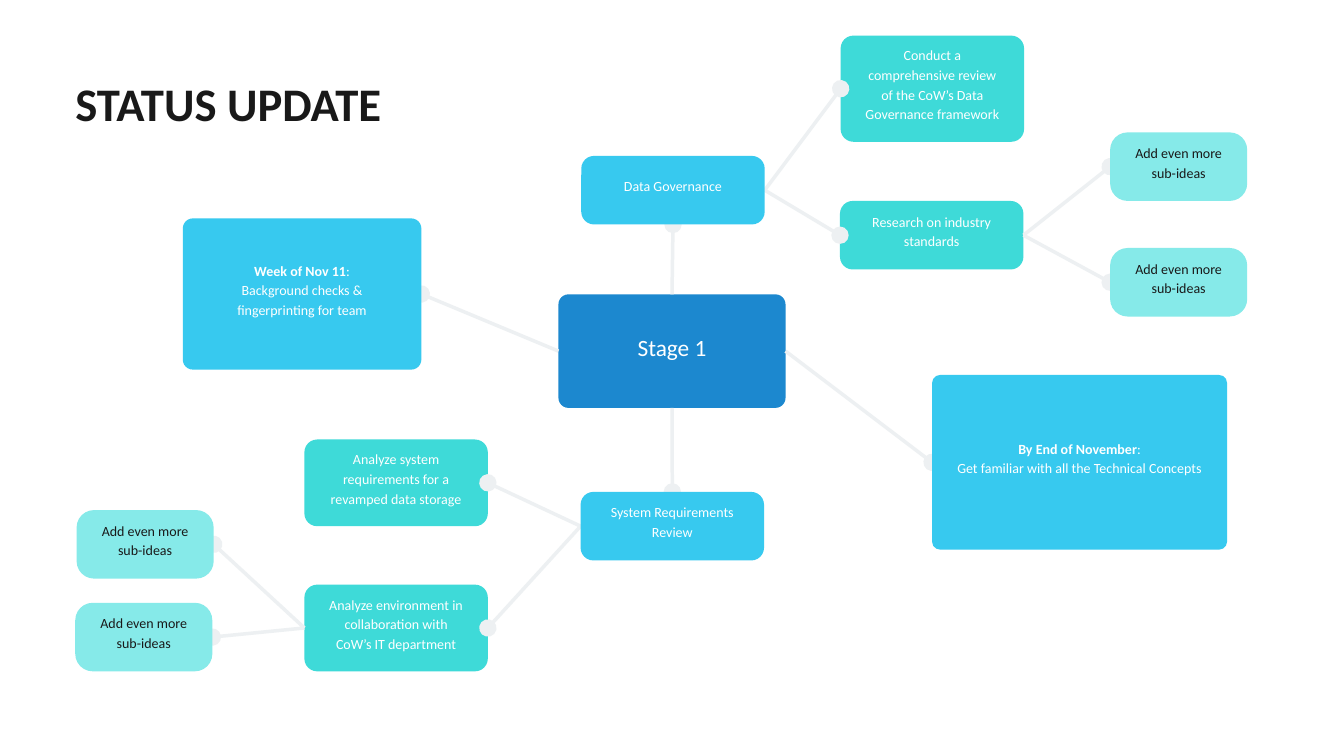
"""Build the status update mind map slide."""
from lxml import etree
from pptx import Presentation, util as u
from pptx.dml.color import RGBColor
from pptx.enum import shapes, text
from pptx.oxml import ns

PX = 9144
THEME = {
    "font": "Calibri", "ink": "191919", "white": "FFFFFF", "link": "EDF0F2", "link_width": 3.75,
    "stage": "1C88CF", "topic": "37C9EF", "task": "3EDAD8", "idea": "86EAE9",
    "title_size": 50, "stage_size": 25, "body_size": 15,
    "title_leading": 60, "stage_leading": 35, "body_leading": 21,
}
SITES = {"top": 0, "left": 1, "bottom": 2, "right": 3}
SUB_IDEA = "Add even more sub-ideas"
BOXES = {
    "stage": ("stage", 831, 438, 338, 169, 15, ["Stage 1"]),
    "week": ("topic", 272, 325, 355, 225, 15,
             ["Week of Nov 11:", "Background checks & fingerprinting for team"]),
    "governance": ("topic", 865, 232, 273, 102, 19, ["Data Governance"]),
    "requirements": ("topic", 864, 732, 273, 102, 19, ["System Requirements Review"]),
    "november": ("topic", 1387, 558, 439, 260, 12,
                 ["By End of November:", "Get familiar with all the Technical Concepts"]),
    "research": ("task", 1250, 299, 273, 102, 19, ["Research on industry standards"]),
    "review": ("task", 1251, 53, 273, 158, 19,
               ["Conduct a comprehensive review of the CoW’s Data Governance framework"]),
    "environment": ("task", 453, 870, 273, 129, 19,
                    ["Analyze environment in collaboration with CoW’s IT department"]),
    "storage": ("task", 453, 654, 273, 129, 19,
                ["Analyze system requirements for a revamped data storage"]),
    "right_lower": ("idea", 1652, 369, 204, 102, 26, [SUB_IDEA]),
    "right_upper": ("idea", 1652, 197, 204, 102, 26, [SUB_IDEA]),
    "left_lower": ("idea", 112, 897, 204, 102, 26, [SUB_IDEA]),
    "left_upper": ("idea", 114, 759, 204, 102, 26, [SUB_IDEA]),
}
LINKS = [
    ("stage", "right", "november", "left"),
    ("stage", "top", "governance", "bottom"),
    ("stage", "bottom", "requirements", "top"),
    ("stage", "left", "week", "right"),
    ("governance", "right", "research", "left"),
    ("governance", "right", "review", "left"),
    ("research", "right", "right_lower", "left"),
    ("research", "right", "right_upper", "left"),
    ("requirements", "left", "environment", "right"),
    ("requirements", "left", "storage", "right"),
    ("environment", "left", "left_lower", "right"),
    ("environment", "left", "left_upper", "right"),
]


def style_paragraph(paragraph, size, leading, color):
    paragraph.line_spacing = u.Pt(leading)
    paragraph.font.name = THEME["font"]
    paragraph.font.size = u.Pt(size)
    paragraph.font.color.rgb = RGBColor.from_string(color)


presentation = Presentation()
presentation.slide_width = 2000 * PX
presentation.slide_height = 1125 * PX
slide = presentation.slides.add_slide(presentation.slide_layouts[6])

nodes = {}
for name, (level, left, top, width, height, radius, lines) in BOXES.items():
    shape = slide.shapes.add_shape(
        shapes.MSO_SHAPE.ROUNDED_RECTANGLE, left * PX, top * PX, width * PX, height * PX)
    shape.adjustments[0] = radius / min(width, height)
    shape.shadow.inherit = False
    shape.fill.solid()
    shape.fill.fore_color.rgb = RGBColor.from_string(THEME[level])
    shape.line.fill.background()
    frame = shape.text_frame
    frame.word_wrap = True
    frame.vertical_anchor = text.MSO_ANCHOR.MIDDLE
    frame.margin_left = frame.margin_right = frame.margin_bottom = 28 * PX
    frame.margin_top = (8 if level == "stage" else 12) * PX
    kind = "stage" if level == "stage" else "body"
    color = THEME["ink" if level == "idea" else "white"]
    for index, line in enumerate(lines):
        paragraph = frame.add_paragraph() if index else frame.paragraphs[0]
        paragraph.alignment = text.PP_ALIGN.CENTER
        style_paragraph(paragraph, THEME[f"{kind}_size"], THEME[f"{kind}_leading"], color)
        label, colon, rest = line.partition(":")
        run = paragraph.add_run()
        run.text = label
        if colon:
            run.font.bold = True
            paragraph.add_run().text = colon + rest
    nodes[name] = shape

for start, start_side, end, end_side in LINKS:
    connector = slide.shapes.add_connector(shapes.MSO_CONNECTOR.STRAIGHT, 0, 0, 0, 0)
    connector.begin_connect(nodes[start], SITES[start_side])
    connector.end_connect(nodes[end], SITES[end_side])
    connector.line.width = u.Pt(THEME["link_width"])
    connector.line.color.rgb = RGBColor.from_string(THEME["link"])
    etree.SubElement(connector.line._get_or_add_ln(), ns.qn("a:tailEnd"),
                     type="oval", w="lg", len="lg")
    etree.SubElement(connector.element.spPr, ns.qn("a:effectLst"))

for name, shape in nodes.items():
    if BOXES[name][0] in ("topic", "idea"):
        shape.element.getparent().append(shape.element)

title = slide.shapes.add_textbox(112 * PX, 111 * PX, 682 * PX, 84 * PX)
frame = title.text_frame
frame.word_wrap = True
frame.auto_size = text.MSO_AUTO_SIZE.SHAPE_TO_FIT_TEXT
frame.margin_left = frame.margin_right = frame.margin_top = frame.margin_bottom = 0
paragraph = frame.paragraphs[0]
paragraph.text = "STATUS UPDATE"
style_paragraph(paragraph, THEME["title_size"], THEME["title_leading"], THEME["ink"])
paragraph.font.bold = True

presentation.save("out.pptx")
